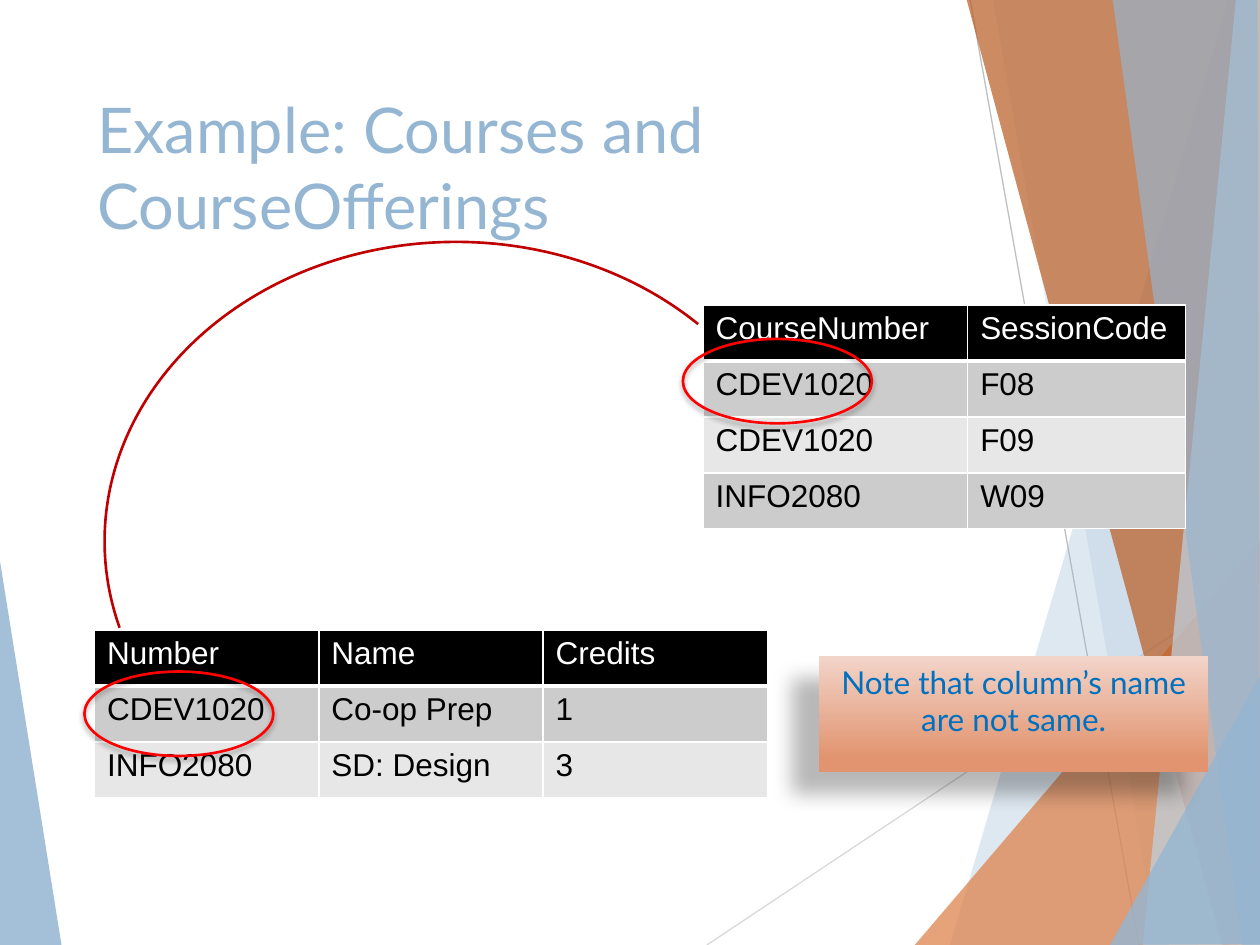
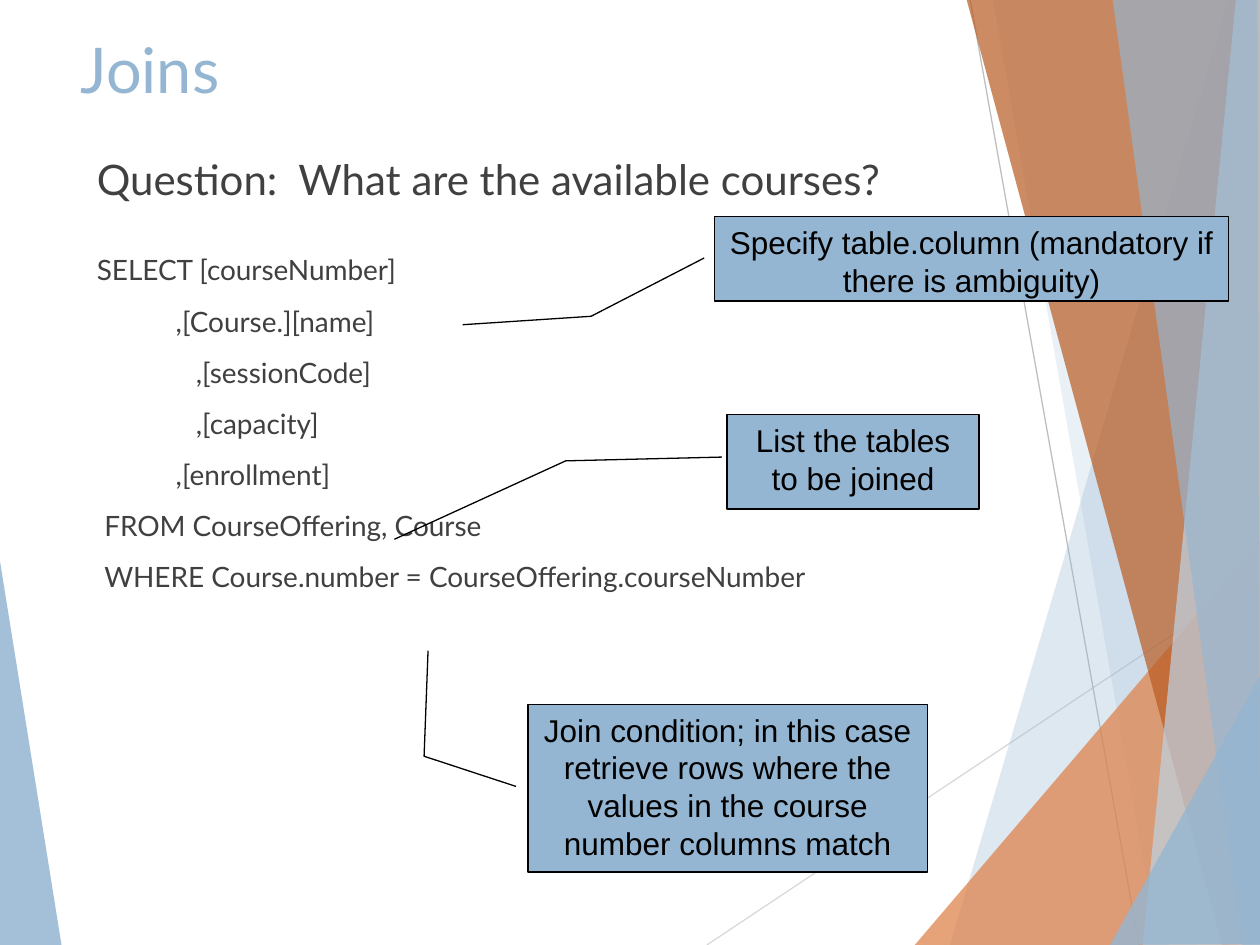
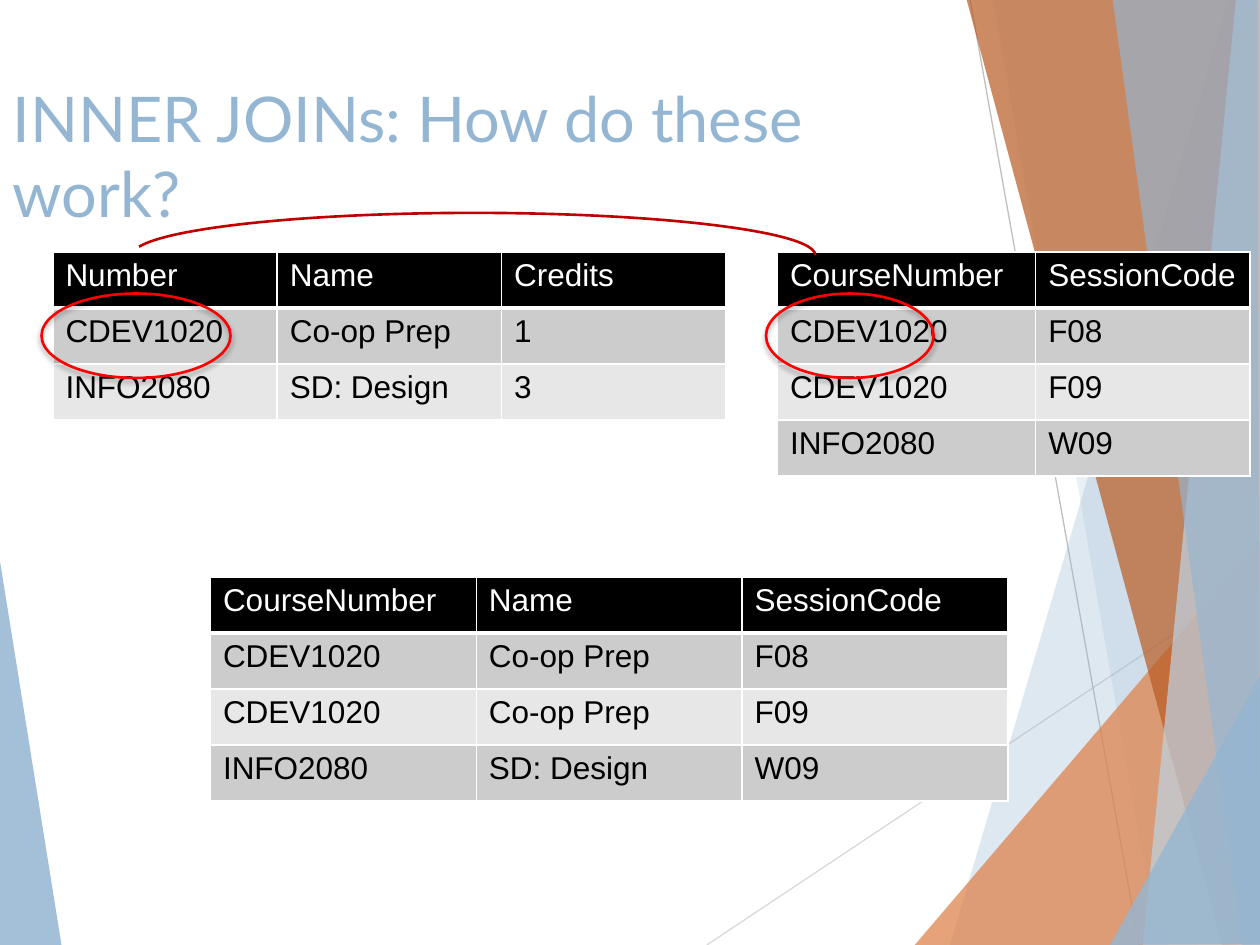
"""Build three slides on joining the Courses and CourseOfferings tables."""
from dataclasses import dataclass

from lxml.etree import SubElement
from pptx import Presentation
from pptx.dml.color import RGBColor
from pptx.enum.shapes import MSO_CONNECTOR, MSO_SHAPE
from pptx.enum.text import MSO_ANCHOR, PP_ALIGN
from pptx.oxml.ns import qn
from pptx.util import Inches, Pt

BLUE, ORANGE, RUST, PALE_BLUE = "94B6D2", "DD8047", "B95B22", "BFD3E4"
BLACK, WHITE, RED, DARK_RED = "000000", "FFFFFF", "FF0000", "C00000"
BODY_GRAY, NOTE_BLUE = "404040", "0070C0"
ROW_FILLS = ("CCCCCC", "E7E7E7")
ROW_HEIGHT = Inches(4 / 9)
HEADING_FONT, TABLE_FONT = "Lato", "Arial"
TITLE_ONLY = 5


@dataclass(frozen=True)
class Place:
    """Position and size in inches."""
    left: float
    top: float
    width: float
    height: float

    def lengths(self) -> tuple:
        """Return the four values as lengths."""
        return tuple(map(Inches, (self.left, self.top, self.width, self.height)))


@dataclass(frozen=True)
class Facet:
    """Translucent polygon of the background; opacity in percent."""
    color: str
    opacity: int
    points: tuple


@dataclass(frozen=True)
class Ray:
    """Thin background line."""
    color: str
    start: tuple
    end: tuple


@dataclass(frozen=True)
class Shadow:
    """Outer shadow: opacity in percent, lengths in points, angle in degrees."""
    opacity: int
    blur: float
    distance: float
    angle: int


@dataclass(frozen=True)
class Callout:
    """Bordered label with a bent leader line."""
    text: str
    place: Place
    leader: tuple


@dataclass(frozen=True)
class CodeLine:
    """Line of the query slide; lengths in points except the indent."""
    text: str
    indent: float = 0.56
    size: int = 16
    before: int = 10


BACKGROUND = (
    Facet(BLUE, 85, ((-0.01, 4.39), (0.49, 7.51), (-0.01, 7.5))),
    Ray("D9D9D9", (5.61, 7.5), (10.01, 4.57)),
    Ray("BFBFBF", (7.7, 0), (9.04, 7.5)),
    Facet(BLUE, 30, ((9.75, 0), (7.54, 7.5), (10.02, 7.51), (10.01, 0.01))),
    Facet(BLUE, 20, ((7.88, -0.01), (9.19, 7.5), (10.01, 7.5), (10.01, -0.01))),
    Facet(ORANGE, 72, ((7.26, 7.5), (10, 4.29), (10.01, 7.5))),
    Facet(RUST, 70, ((7.67, -0.01), (9.7, 7.5), (10.01, 7.49), (10.01, -0.01))),
    Facet(PALE_BLUE, 70, ((9.81, -0.01), (9.07, 7.5), (10.01, 7.5), (10, -0.01))),
    Facet(BLUE, 65, ((8.83, -0.01), (9.86, 7.5), (10, 7.5), (9.98, -0.01))),
    Facet(BLUE, 80, ((8.81, 7.5), (10.01, 5.35), (10.01, 7.49))),
)
RING_SHADOW = Shadow(35, 3, 2, 90)
NOTE_SHADOW = Shadow(28, 11.8, 19.7, 141)

COURSES = (
    ("Number", "Name", "Credits"),
    ("CDEV1020", "Co-op Prep", "1"),
    ("INFO2080", "SD: Design", "3"),
)
OFFERINGS = (
    ("CourseNumber", "SessionCode"),
    ("CDEV1020", "F08"),
    ("CDEV1020", "F09"),
    ("INFO2080", "W09"),
)
JOINED = (
    ("CourseNumber", "Name", "SessionCode"),
    ("CDEV1020", "Co-op Prep", "F08"),
    ("CDEV1020", "Co-op Prep", "F09"),
    ("INFO2080", "SD: Design", "W09"),
)
QUERY = (
    CodeLine("Question:  What are the available courses?", 0.5, 24, 0),
    CodeLine("SELECT [courseNumber]", 0.5, before=28),
    CodeLine("          ,[Course.][name]"),
    CodeLine("\t    ,[sessionCode]"),
    CodeLine("\t    ,[capacity]"),
    CodeLine("          ,[enrollment]"),
    CodeLine("FROM CourseOffering, Course"),
    CodeLine("WHERE Course.number = CourseOffering.courseNumber"),
)
CALLOUTS = (
    Callout("List the tables to be joined", Place(5.77, 3.29, 2, 0.75),
            (0.45, -0.02, 0.49, -0.64, 1.32, -1.32)),
    Callout("Join condition; in this case retrieve rows where the values in the "
            "course number columns match", Place(4.19, 5.59, 3.17, 1.33),
            (0.49, -0.03, 0.31, -0.26, -0.32, -0.25)),
    Callout("Specify table.column (mandatory if there is ambiguity)",
            Place(5.67, 1.72, 4.08, 0.67),
            (0.49, -0.02, 1.18, -0.24, 1.28, -0.49)),
)


def rgb(color: str) -> RGBColor:
    """Turn a hex string into a colour."""
    return RGBColor.from_string(color)


def write(paragraph, text: str, *, size: float, font: str, color: str,
          align=PP_ALIGN.LEFT, before: float = 0) -> None:
    """Put formatted text into a paragraph."""
    paragraph.alignment = align
    paragraph.space_before = Pt(before)
    span = paragraph.add_run()
    span.text = text
    span.font.size, span.font.name = Pt(size), font
    span.font.color.rgb = rgb(color)


def add_shadow(shape, shadow: Shadow) -> None:
    """Give a shape an outer shadow in black."""
    effects = shape.element.spPr.find(qn("a:effectLst"))
    outer = SubElement(effects, qn("a:outerShdw"), blurRad=str(Pt(shadow.blur)),
                       dist=str(Pt(shadow.distance)), dir=str(shadow.angle * 60000),
                       algn="ctr", rotWithShape="0")
    shade = SubElement(outer, qn("a:srgbClr"), val=BLACK)
    SubElement(shade, qn("a:alpha"), val=str(shadow.opacity * 1000))


def draw_facet(page, facet: Facet):
    """Draw one translucent polygon."""
    first, *rest = [tuple(map(Inches, point)) for point in facet.points]
    builder = page.shapes.build_freeform(*first)
    builder.add_line_segments(rest)
    shape = builder.convert_to_shape()
    shape.shadow.inherit = False
    shape.fill.solid()
    shape.fill.fore_color.rgb = rgb(facet.color)
    shade = shape.element.spPr.find(qn("a:solidFill"))[0]
    SubElement(shade, qn("a:alpha"), val=str(facet.opacity * 1000))
    shape.line.fill.background()
    return shape


def draw_ray(page, ray: Ray):
    """Draw one thin line."""
    line = page.shapes.add_connector(
        MSO_CONNECTOR.STRAIGHT, *map(Inches, ray.start + ray.end))
    line.line.color.rgb = rgb(ray.color)
    line.line.width = Pt(0.75)
    SubElement(line.element.spPr, qn("a:effectLst"))
    return line


def build_background(deck, page) -> None:
    """Draw the facets and move them to the slide master."""
    master_shapes = deck.slide_master.shapes.element
    for number, item in enumerate(BACKGROUND, start=100):
        draw = draw_facet if isinstance(item, Facet) else draw_ray
        element = draw(page, item).element
        element.xpath("./*/p:cNvPr")[0].set("id", str(number))
        master_shapes.append(element)


def add_page(deck, title: str, place: Place):
    """Add a slide with its title."""
    page = deck.slides.add_slide(deck.slide_layouts[TITLE_ONLY])
    box = page.shapes.title
    box.left, box.top, box.width, box.height = place.lengths()
    box.text_frame.vertical_anchor = MSO_ANCHOR.TOP
    write(box.text_frame.paragraphs[0], title, size=36, font=HEADING_FONT, color=BLUE)
    return page


def set_borders(cell, bottom: float) -> None:
    """Draw white borders of one point, with a given width at the bottom."""
    properties = cell._tc.get_or_add_tcPr()
    for side, width in (("L", 1), ("R", 1), ("T", 1), ("B", bottom)):
        line = SubElement(properties, qn(f"a:ln{side}"), w=str(Pt(width)))
        SubElement(SubElement(line, qn("a:solidFill")), qn("a:srgbClr"), val=WHITE)


def draw_table(page, rows: tuple, left: float, top: float, widths: tuple) -> None:
    """Draw a table with a black header and banded rows."""
    table = page.shapes.add_table(
        len(rows), len(widths), Inches(left), Inches(top),
        Inches(sum(widths)), ROW_HEIGHT * len(rows)).table
    for column, width in zip(table.columns, widths):
        column.width = Inches(width)
    for index, values in enumerate(rows):
        header = index == 0
        table.rows[index].height = ROW_HEIGHT
        for cell, value in zip(table.rows[index].cells, values):
            set_borders(cell, 3 if header else 1)
            cell.fill.solid()
            cell.fill.fore_color.rgb = rgb(BLACK if header else ROW_FILLS[(index - 1) % 2])
            write(cell.text_frame.paragraphs[0], value, size=18, font=TABLE_FONT,
                  color=WHITE if header else BLACK)


def add_plain_shape(page, kind, place: Place):
    """Add a preset shape without the theme shadow."""
    shape = page.shapes.add_shape(kind, *place.lengths())
    shape.shadow.inherit = False
    return shape


def draw_outline(page, kind, place: Place, color: str):
    """Draw an unfilled shape."""
    shape = add_plain_shape(page, kind, place)
    shape.fill.background()
    shape.line.color.rgb = rgb(color)
    shape.line.width = Pt(1.5)
    return shape


def draw_ring(page, place: Place) -> None:
    """Circle a matching key value."""
    add_shadow(draw_outline(page, MSO_SHAPE.OVAL, place, RED), RING_SHADOW)


def draw_arc(page, place: Place, start: float, end: float) -> None:
    """Draw the arc between key columns; angles in degrees."""
    arc = draw_outline(page, MSO_SHAPE.ARC, place, DARK_RED)
    for index, angle in enumerate((start, end)):
        arc.adjustments[index] = angle * 0.6


def fill_label(shape, text: str, font: str, color: str) -> None:
    """Write centred text from the top of a shape."""
    frame = shape.text_frame
    frame.word_wrap = True
    frame.vertical_anchor = MSO_ANCHOR.TOP
    write(frame.paragraphs[0], text, size=18, font=font, color=color,
          align=PP_ALIGN.CENTER)


def draw_note(page, text: str, place: Place) -> None:
    """Draw the gradient note."""
    note = add_plain_shape(page, MSO_SHAPE.RECTANGLE, place)
    note.fill.gradient()
    note.fill.gradient_angle = 270
    for stop, (position, color) in zip(note.fill.gradient_stops,
                                       ((0, "F2D4C9"), (0.88, "E1946F"))):
        stop.position = position
        stop.color.rgb = rgb(color)
    note.line.fill.background()
    add_shadow(note, NOTE_SHADOW)
    fill_label(note, text, HEADING_FONT, NOTE_BLUE)


def draw_callout(page, callout: Callout) -> None:
    """Draw a label with its leader."""
    shape = add_plain_shape(page, MSO_SHAPE.LINE_CALLOUT_2, callout.place)
    for index, value in enumerate(callout.leader):
        shape.adjustments[index] = value
    shape.fill.solid()
    shape.fill.fore_color.rgb = rgb(BLUE)
    shape.line.color.rgb = rgb(BLACK)
    shape.line.width = Pt(0.75)
    fill_label(shape, callout.text, TABLE_FONT, BLACK)


def draw_query(page, place: Place) -> None:
    """Write the question and its query."""
    frame = page.shapes.add_textbox(*place.lengths()).text_frame
    frame.word_wrap = True
    for index, line in enumerate(QUERY):
        paragraph = frame.add_paragraph() if index else frame.paragraphs[0]
        properties = paragraph._p.get_or_add_pPr()
        properties.set("marL", str(Inches(line.indent)))
        properties.set("indent", "0")
        write(paragraph, line.text, size=line.size, font=HEADING_FONT,
              color=BODY_GRAY, before=line.before)


def build_example(deck) -> None:
    """Build the slide with the two tables."""
    page = add_page(deck, "Example: Courses and CourseOfferings",
                    Place(0.67, 0.67, 6.94, 1.44))
    build_background(deck, page)
    draw_note(page, "Note that column’s name are not same.", Place(6.5, 5.21, 3.09, 0.92))
    draw_table(page, COURSES, 0.75, 5, (1.78,) * 3)
    draw_table(page, OFFERINGS, 5.58, 2.42, (2.1, 1.73))
    draw_ring(page, Place(5.42, 2.69, 1.5, 0.67))
    draw_ring(page, Place(0.67, 5.33, 1.5, 0.67))
    draw_arc(page, Place(0.83, 1.92, 5.58, 4.75), 165.57, 318.11)


def build_joins(deck) -> None:
    """Build the slide with the annotated query."""
    page = add_page(deck, "Joins", Place(0.54, 0.19, 6.94, 0.88))
    draw_query(page, Place(0.17, 1.17, 6.94, 4.24))
    for callout in CALLOUTS:
        draw_callout(page, callout)


def build_inner_joins(deck) -> None:
    """Build the slide with the joined result."""
    page = add_page(deck, "INNER JOINs: How do these work?", Place(0, 0.58, 7.75, 1.44))
    draw_table(page, COURSES, 0.42, 2, (1.78,) * 3)
    draw_table(page, OFFERINGS, 6.17, 2, (2.05, 1.7))
    draw_table(page, JOINED, 1.67, 4.58, (2.11,) * 3)
    draw_ring(page, Place(6.08, 2.33, 1.33, 0.67))
    draw_ring(page, Place(0.33, 2.33, 1.5, 0.67))
    draw_arc(page, Place(1.05, 1.69, 5.42, 0.67), 181.43, 0)


def main() -> None:
    """Build and save the deck."""
    deck = Presentation()
    deck.slide_width, deck.slide_height = Inches(10), Inches(7.5)
    build_example(deck)
    build_joins(deck)
    build_inner_joins(deck)
    deck.save("out.pptx")


if __name__ == "__main__":
    main()
